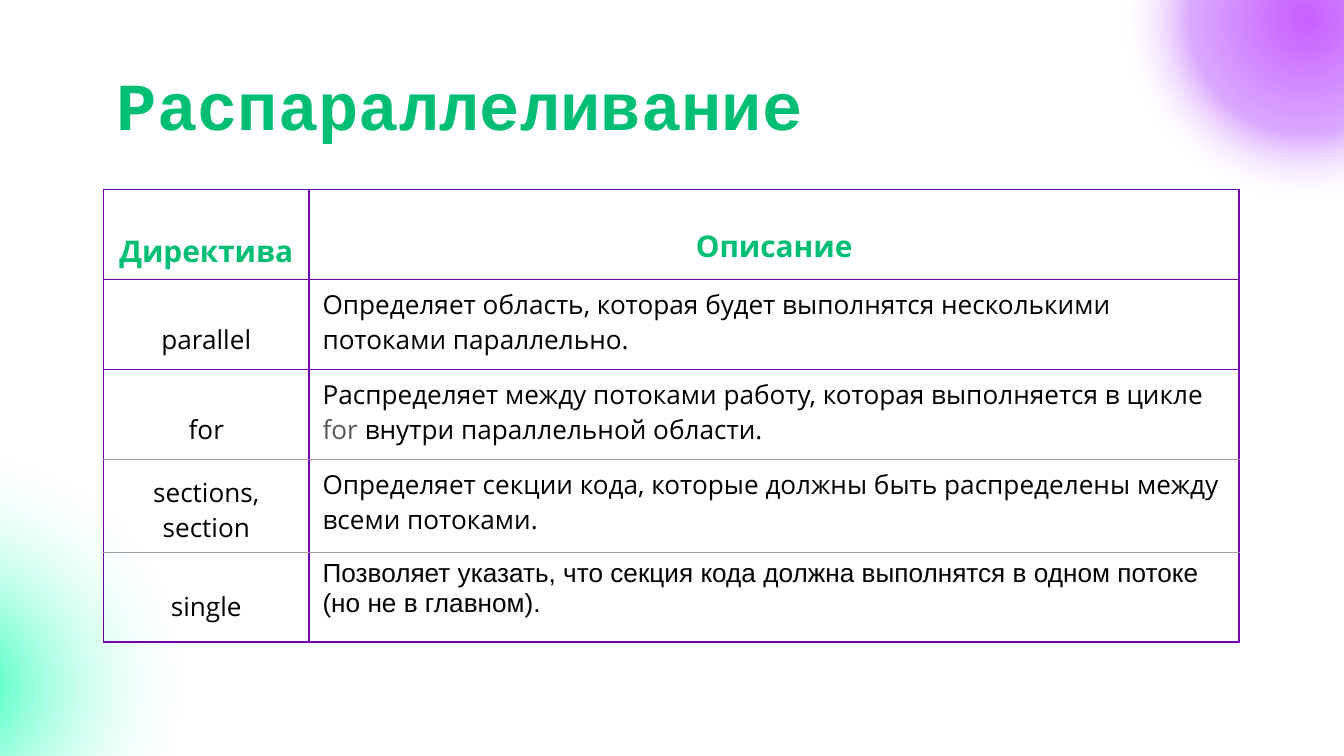
from typing import NamedTuple

from lxml.etree import SubElement
from pptx import Presentation
from pptx.dml.color import RGBColor
from pptx.enum.shapes import MSO_SHAPE
from pptx.enum.text import MSO_ANCHOR, PP_ALIGN
from pptx.oxml import parse_xml
from pptx.oxml.ns import nsdecls, qn
from pptx.util import Inches, Pt

COLORS = {
    "green": "00BF75",
    "mint": "1EFFB2",
    "violet": "C95EFF",
    "lilac": "BF62FF",
    "border": "7400AE",
    "rule": "9E9E9E",
    "keyword": "585858",
    "text": "000000",
    "white": "FFFFFF",
}


class Stop(NamedTuple):
    position: int
    color: str
    opacity: int


class Glow(NamedTuple):
    left: float
    top: float
    size: float
    stops: list[Stop]


class Phrase(NamedTuple):
    text: str
    color: str = "text"
    font: str = "Open Sans"
    size: int = 14
    bold: bool = False


class Entry(NamedTuple):
    phrases: list[Phrase]
    top_margin: float = 0.05
    centered: bool = True


class Line(NamedTuple):
    color: str
    width: float


PURPLE = Line("border", 1)
GREY = Line("rule", 0.75)

GLOWS = [
    Glow(-2.97, 2.5, 5.21, [
        Stop(0, "mint", 100), Stop(50, "white", 0), Stop(100, "white", 0)]),
    Glow(8.11, -1.47, 3.21, [
        Stop(0, "violet", 100), Stop(38, "lilac", 54),
        Stop(61, "white", 0), Stop(100, "white", 0)]),
]


def heading(text: str, top_margin: float) -> Entry:
    return Entry([Phrase(text, "green", size=16, bold=True)], top_margin)


def directive(text: str, top_margin: float) -> Entry:
    return Entry([Phrase(text)], top_margin)


def description(*phrases: Phrase) -> Entry:
    return Entry(list(phrases), centered=False)


ROWS = [
    (heading("Директива", 0.31), heading("Описание", 0.27)),
    (directive("parallel", 0.31), description(Phrase(
        "Определяет область, которая будет выполнятся несколькими потоками параллельно."))),
    (directive("for", 0.31), description(
        Phrase("Распределяет между потоками работу, которая выполняется в цикле "),
        Phrase("for ", "keyword"),
        Phrase("внутри параллельной области."))),
    (directive("sections, section", 0.11), description(Phrase(
        "Определяет секции кода, которые должны быть распределены между всеми потоками."))),
    (directive("single", 0.27), description(Phrase(
        "Позволяет указать, что секция кода должна выполнятся в одном потоке (но не в главном).",
        font="Arial"))),
]
RULES = [PURPLE, PURPLE, PURPLE, GREY, GREY, PURPLE]
ROW_HEIGHTS = [0.67, 0.67, 0.67, 0.69, 0.67]
COLUMN_WIDTHS = [1.53, 6.92]


def add_glow(slide, glow: Glow) -> None:
    ellipse = slide.shapes.add_shape(
        MSO_SHAPE.OVAL, Inches(glow.left), Inches(glow.top),
        Inches(glow.size), Inches(glow.size))
    ellipse.shadow.inherit = False
    ellipse.line.fill.background()
    stops = "".join(
        f'<a:gs pos="{stop.position * 1000}"><a:srgbClr val="{COLORS[stop.color]}">'
        f'<a:alpha val="{stop.opacity * 1000}"/></a:srgbClr></a:gs>'
        for stop in glow.stops)
    gradient = parse_xml(
        f'<a:gradFill {nsdecls("a")} rotWithShape="1"><a:gsLst>{stops}</a:gsLst>'
        '<a:path path="circle">'
        '<a:fillToRect l="50000" t="50000" r="50000" b="50000"/>'
        '</a:path></a:gradFill>')
    ellipse._element.spPr.find(qn("a:prstGeom")).addnext(gradient)


def add_phrase(paragraph, phrase: Phrase) -> None:
    run = paragraph.add_run()
    run.text = phrase.text
    run.font.name = phrase.font
    run.font.size = Pt(phrase.size)
    run.font.bold = phrase.bold
    run.font.color.rgb = RGBColor.from_string(COLORS[phrase.color])


def add_border(cell, side: str, line: Line) -> None:
    border = SubElement(cell._tc.get_or_add_tcPr(), qn(f"a:ln{side}"),
                        w=str(Pt(line.width)))
    fill = SubElement(border, qn("a:solidFill"))
    SubElement(fill, qn("a:srgbClr"), val=COLORS[line.color])


def fill_cell(cell, entry: Entry, above: Line, below: Line) -> None:
    cell.margin_left = cell.margin_right = Inches(0.1)
    cell.margin_top = Inches(entry.top_margin)
    cell.margin_bottom = Inches(0.05)
    cell.vertical_anchor = MSO_ANCHOR.TOP
    for side, line in zip("LRTB", (PURPLE, PURPLE, above, below)):
        add_border(cell, side, line)
    cell.fill.background()
    paragraph = cell.text_frame.paragraphs[0]
    paragraph.alignment = PP_ALIGN.CENTER if entry.centered else PP_ALIGN.LEFT
    for phrase in entry.phrases:
        add_phrase(paragraph, phrase)


def add_directives(slide) -> None:
    table = slide.shapes.add_table(
        len(ROWS), len(COLUMN_WIDTHS), Inches(0.77), Inches(1.41),
        Inches(sum(COLUMN_WIDTHS)), Inches(sum(ROW_HEIGHTS))).table
    table.first_row = False
    table.horz_banding = False
    for column, width in zip(table.columns, COLUMN_WIDTHS):
        column.width = Inches(width)
    for row, height, entries, above, below in zip(
            table.rows, ROW_HEIGHTS, ROWS, RULES, RULES[1:]):
        row.height = Inches(height)
        for cell, entry in zip(row.cells, entries):
            fill_cell(cell, entry, above, below)


def place_title(slide) -> None:
    title = slide.shapes.title
    title.left, title.top = Inches(0.77), Inches(0.37)
    title.width, title.height = Inches(8.45), Inches(1.03)
    frame = title.text_frame
    frame.margin_left = frame.margin_right = frame.margin_top = Inches(0.1)
    frame.margin_bottom = Inches(0.33)
    frame.vertical_anchor = MSO_ANCHOR.MIDDLE
    frame.paragraphs[0].alignment = PP_ALIGN.LEFT
    add_phrase(frame.paragraphs[0],
               Phrase("Распараллеливание", "green", "Courier New", 36, True))
    slide.shapes._spTree.append(title._element)


def main() -> None:
    presentation = Presentation()
    presentation.slide_width = Inches(10)
    presentation.slide_height = presentation.slide_width * 9 // 16
    slide = presentation.slides.add_slide(presentation.slide_layouts[5])
    for glow in GLOWS:
        add_glow(slide, glow)
    place_title(slide)
    add_directives(slide)
    presentation.save("out.pptx")


if __name__ == "__main__":
    main()
